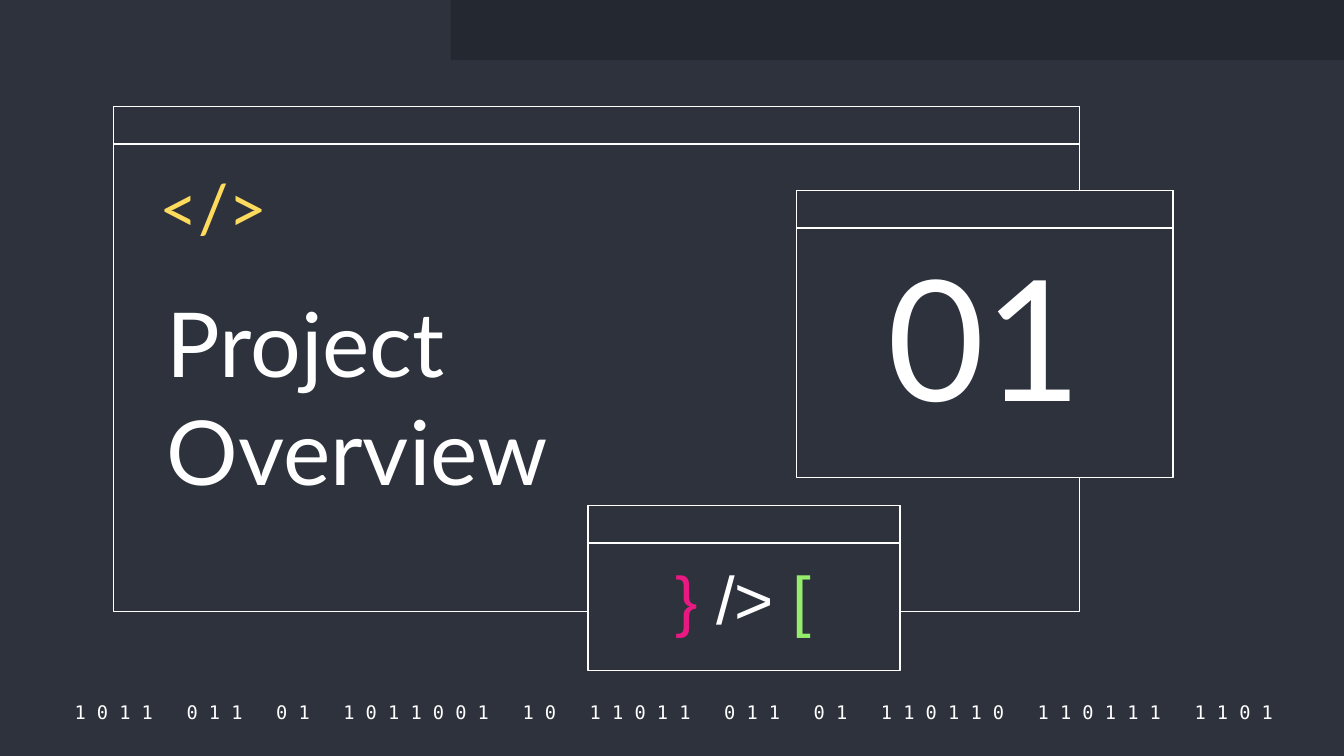
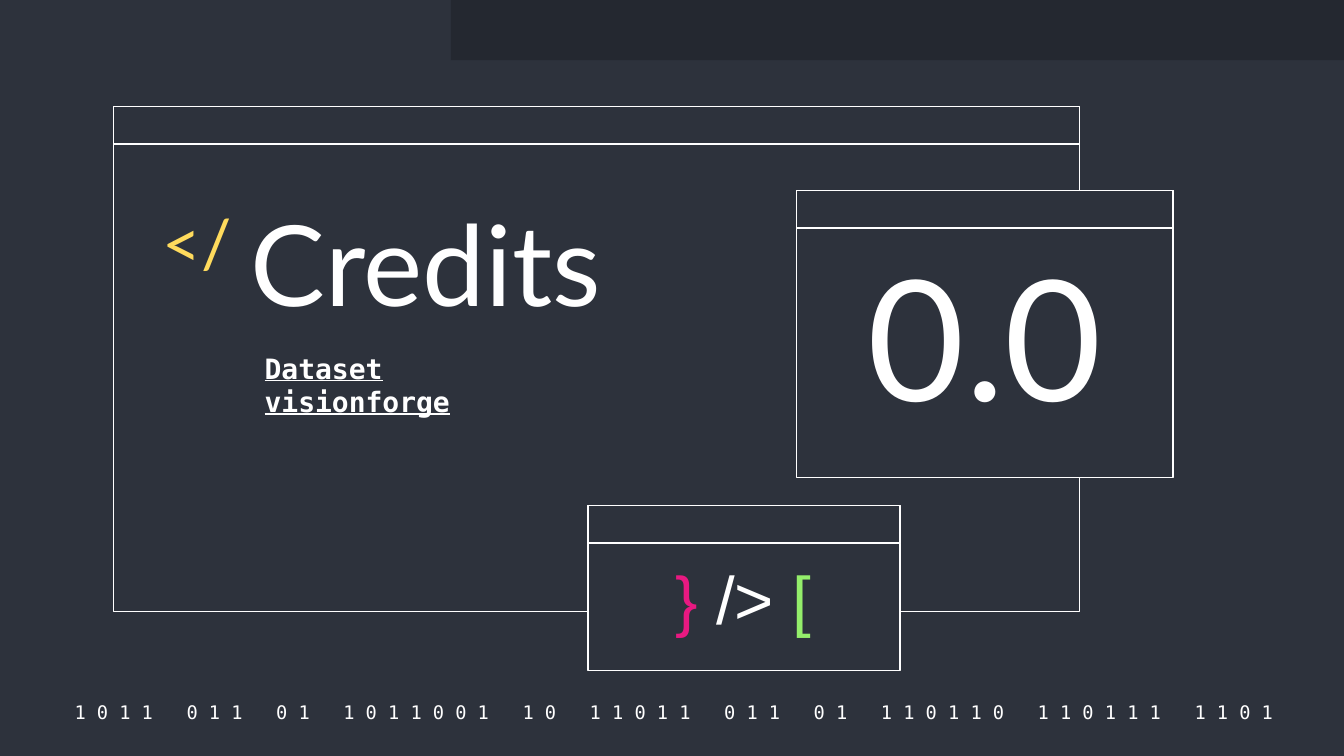
from pptx import Presentation
from pptx.dml.color import RGBColor
from pptx.enum.shapes import MSO_SHAPE
from pptx.enum.text import MSO_ANCHOR, PP_ALIGN
from pptx.util import Emu, Pt

PX = 9525
INSET = 10
BAR_HEIGHT = 27
COLORS = {
    "background": "2D323C",
    "band": "242830",
    "white": "FFFFFF",
    "yellow": "FFDB5D",
    "pink": "E81981",
    "green": "94EE6B",
}
HEADING, SYMBOL, MONO = "Lato", "Arial", "DejaVu Sans Mono"
BINARY_WORDS = "1011 011 01 1011001 10 11011 011 01 110110 110111 1101".split()
WINDOWS = {
    "main": (81, 76, 690, 361),
    "symbols": (420, 361, 223, 118),
    "number": (569, 136, 269, 205),
}


def px(value):
    return Emu(value * PX)


def color(name):
    return RGBColor.from_string(COLORS[name])


class Sketch:
    def __init__(self, deck):
        self.deck = deck
        self.slide = None

    def new_slide(self):
        self.slide = self.deck.slides.add_slide(self.deck.slide_layouts[6])
        fill = self.slide.background.fill
        fill.solid()
        fill.fore_color.rgb = color("background")

    def rectangle(self, bounds, fill, line=None):
        shape = self.slide.shapes.add_shape(MSO_SHAPE.RECTANGLE, *map(px, bounds))
        shape.shadow.inherit = False
        shape.fill.solid()
        shape.fill.fore_color.rgb = color(fill)
        if line:
            shape.line.color.rgb = color(line)
            shape.line.width = Pt(0.75)
        else:
            shape.line.fill.background()

    def window(self, left, top, width, height):
        for part_height in (height, BAR_HEIGHT):
            self.rectangle((left, top, width, part_height), "background", "white")

    def text(self, bounds, paragraphs, size, font=HEADING, align=PP_ALIGN.LEFT,
             anchor=MSO_ANCHOR.TOP, spacing=None, side_inset=INSET, strong=False):
        box = self.slide.shapes.add_textbox(*map(px, bounds))
        frame = box.text_frame
        frame.word_wrap = True
        frame.vertical_anchor = anchor
        frame.margin_left = frame.margin_right = px(side_inset)
        frame.margin_top = frame.margin_bottom = px(INSET)
        frame.text = "\n".join("" for _ in paragraphs)
        for para, spans in zip(frame.paragraphs, paragraphs):
            para.alignment = align
            if spacing:
                para.line_spacing = spacing
            for words, tint in spans:
                span = para.add_run()
                span.text = words
                span.font.name = font
                span.font.size = Pt(size)
                span.font.color.rgb = color(tint)
                if strong:
                    span.font.bold = span.font.underline = True

    def tag(self, bounds, words, **style):
        self.text(bounds, [[(words, "yellow")]], 36, spacing=0.9, **style)

    def section(self, number):
        self.new_slide()
        digits = "   ".join(" ".join(word) for word in BINARY_WORDS)
        self.text((36, 499, 890, 19), [[(digits, "white")]], 10, MONO,
                  PP_ALIGN.CENTER, MSO_ANCHOR.MIDDLE)
        self.rectangle((322, 0, 638, 43), "band")
        for bounds in WINDOWS.values():
            self.window(*bounds)
        self.text((587, 163, 233, 158), [[(number, "white")]], 90,
                  align=PP_ALIGN.CENTER, anchor=MSO_ANCHOR.BOTTOM)
        symbols = [("}", "pink"), (" /> ", "white"), ("[", "green")]
        self.text((467, 395, 128, 79), [symbols], 36, SYMBOL,
                  PP_ALIGN.CENTER, spacing=0.9)


def main():
    deck = Presentation()
    deck.slide_width, deck.slide_height = px(960), px(540)
    sketch = Sketch(deck)

    sketch.section("01")
    sketch.text((109, 196, 414, 170), [[("Project Overview", "white")]], 48)
    sketch.tag((88, 115, 113, 60), "</>", align=PP_ALIGN.RIGHT)

    sketch.section("0.0")
    sketch.text((179, 129, 346, 105), [[("Credits", "white")]], 60, side_inset=0)
    sketch.tag((106, 145, 74, 63), "</", anchor=MSO_ANCHOR.MIDDLE)
    credits = [[(words, "white")] for words in ("Dataset", "visionforge")]
    sketch.text((179, 241, 186, 105), credits, 15, MONO, strong=True)

    deck.save("out.pptx")


if __name__ == "__main__":
    main()
